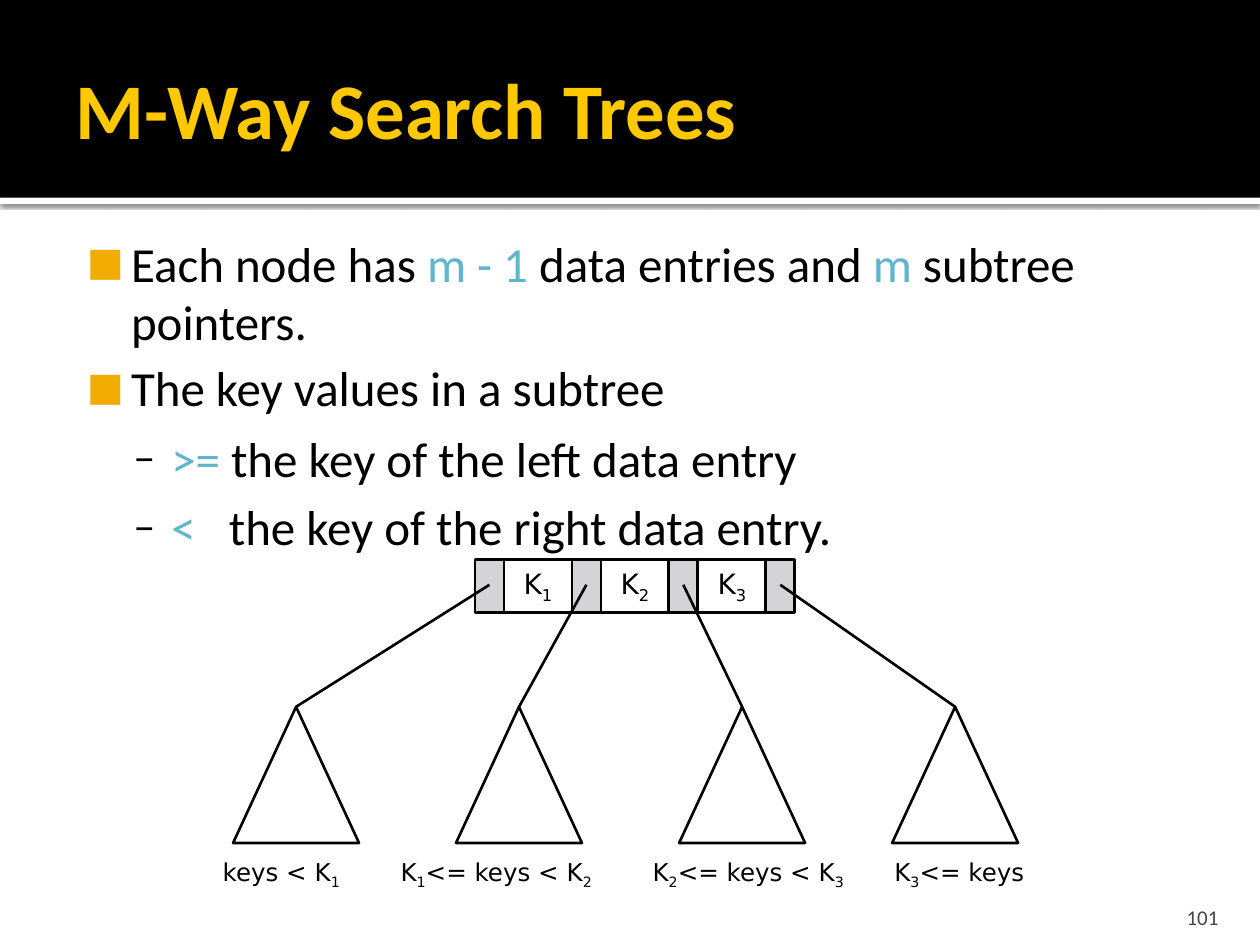
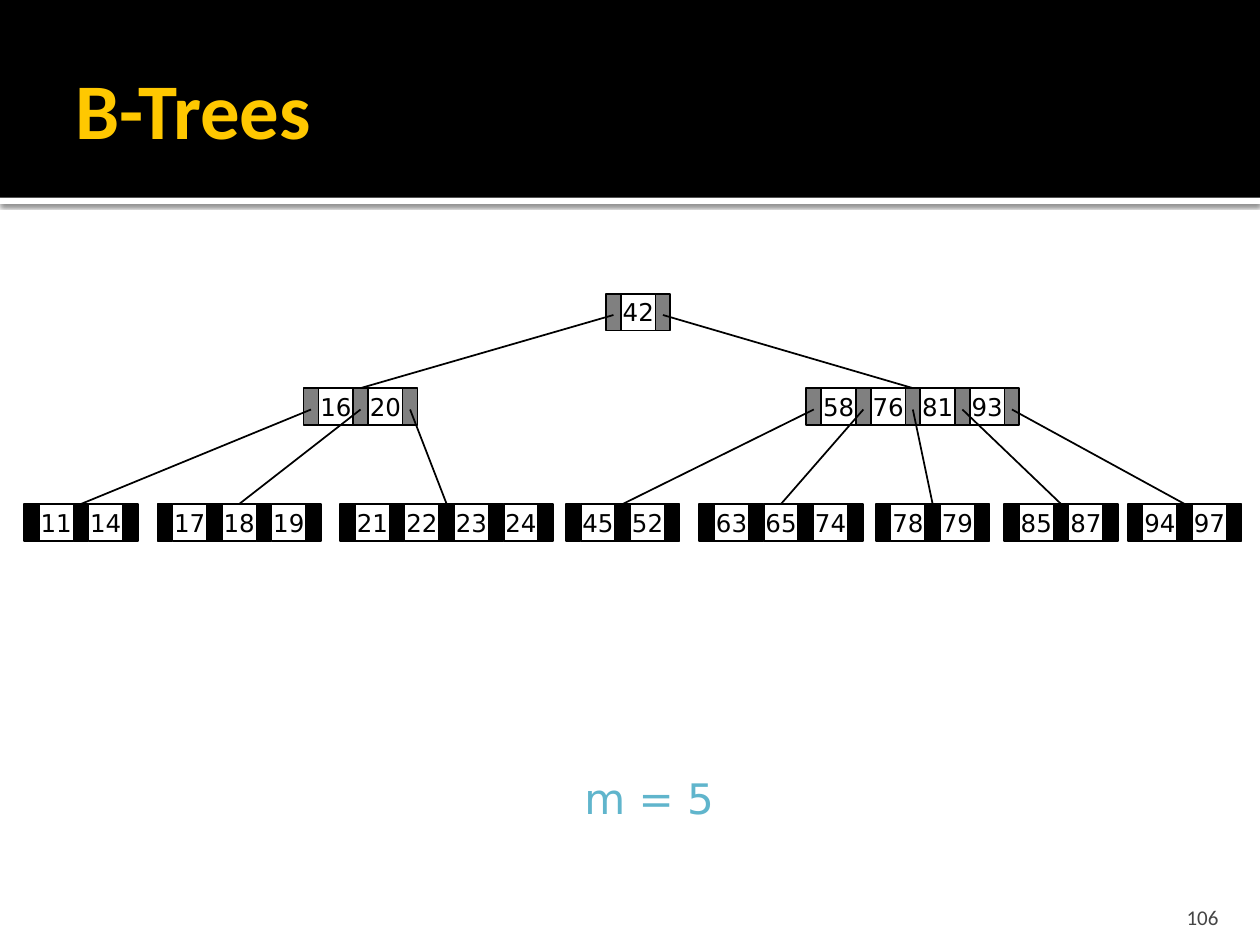
from lxml.etree import SubElement
from pptx import Presentation
from pptx.dml.color import RGBColor
from pptx.enum.shapes import MSO_CONNECTOR as CONNECTOR, MSO_SHAPE as SHAPE
from pptx.enum.text import MSO_ANCHOR as ANCHOR, PP_ALIGN as ALIGN
from pptx.oxml.ns import qn
from pptx.util import Pt

BLACK = RGBColor(0x00, 0x00, 0x00)
WHITE = RGBColor(0xFF, 0xFF, 0xFF)
TITLE_YELLOW = RGBColor(0xFF, 0xC8, 0x00)
BULLET_AMBER = RGBColor(0xF0, 0xAD, 0x00)
ACCENT_BLUE = RGBColor(0x60, 0xB5, 0xCC)
FOOTER_GREY = RGBColor(0x45, 0x45, 0x45)
LIGHT_GREY = RGBColor(0xD4, 0xD4, 0xD6)
MID_GREY = RGBColor(0x80, 0x80, 0x80)

TEXT_FONT = "Calibri"
DIAGRAM_FONT = "DejaVu Sans"
DEFAULT_INSETS = (7.2, 3.6, 7.2, 3.6)


class Deck:
    """Holds the shared style and the slide being drawn."""

    def __init__(self):
        self.presentation = Presentation()
        self.presentation.slide_width = Pt(720)
        self.presentation.slide_height = Pt(540)
        self.slide = None

    def new_slide(self, title, number):
        layout = self.presentation.slide_layouts[6]
        self.slide = self.presentation.slides.add_slide(layout)
        # White strip with a soft shadow under the black title band
        strip = self.shape(SHAPE.RECTANGLE, 0, 113, 720, 3.6, fill=WHITE)
        effects = strip._element.spPr.find(qn("a:effectLst"))
        shadow = SubElement(effects, qn("a:outerShdw"), blurRad=str(Pt(2.5)),
                            dist=str(Pt(0.8)), dir="5400000", algn="tl", rotWithShape="0")
        color = SubElement(shadow, qn("a:srgbClr"), val=str(BLACK))
        SubElement(color, qn("a:alpha"), val="60000")
        self.shape(SHAPE.RECTANGLE, 0, 0, 720, 113, fill=BLACK)
        # Title and page number
        self.text(title, 36, 12.2, 648, 98.6, 45, TITLE_YELLOW, TEXT_FONT, bold=True,
                  anchor=ANCHOR.MIDDLE, insets=(7.2, 3.6, 3.6, 3.6))
        self.text(str(number), 645.8, 509.8, 57.6, 21.6, 12, FOOTER_GREY, TEXT_FONT,
                  align=ALIGN.RIGHT, anchor=ANCHOR.BOTTOM, insets=(7.2, 3.6, 7.2, 0))

    def shape(self, kind, left, top, width, height, fill=None, line=None):
        shape = self.slide.shapes.add_shape(kind, Pt(left), Pt(top), Pt(width), Pt(height))
        shape.shadow.inherit = False
        if fill is None:
            shape.fill.background()
        else:
            shape.fill.solid()
            shape.fill.fore_color.rgb = fill
        if line is None:
            shape.line.fill.background()
        else:
            shape.line.color.rgb = BLACK
            shape.line.width = Pt(line)
        return shape

    def frame(self, left, top, width, height, insets=DEFAULT_INSETS):
        box = self.slide.shapes.add_textbox(Pt(left), Pt(top), Pt(width), Pt(height))
        frame = box.text_frame
        frame.word_wrap = True
        self.set_insets(frame, insets)
        return frame

    def set_insets(self, frame, insets):
        (frame.margin_left, frame.margin_top,
         frame.margin_right, frame.margin_bottom) = map(Pt, insets)

    def style(self, paragraph, size, color, font, bold=False):
        paragraph.font.size = Pt(size)
        paragraph.font.name = font
        paragraph.font.bold = bold
        paragraph.font.color.rgb = color

    def add_runs(self, paragraph, text):
        """Add text in which the character after each _ is a subscript."""
        first, *rest = text.split("_")
        pieces = [(first, False)]
        for piece in rest:
            pieces += [(piece[0], True), (piece[1:], False)]
        for piece, is_subscript in pieces:
            if piece:
                run = paragraph.add_run()
                run.text = piece
                if is_subscript:
                    run._r.get_or_add_rPr().set("baseline", "-25000")

    def text(self, text, left, top, width, height, size, color=BLACK, font=DIAGRAM_FONT,
             bold=False, align=ALIGN.LEFT, anchor=ANCHOR.TOP, insets=DEFAULT_INSETS):
        frame = self.frame(left, top, width, height, insets)
        frame.vertical_anchor = anchor
        paragraph = frame.paragraphs[0]
        paragraph.alignment = align
        self.add_runs(paragraph, text)
        self.style(paragraph, size, color, font, bold)

    def bullet(self, paragraph, parts, level, space_before, tab=None):
        """Add a bulleted line; every second part is in the accent colour."""
        margin, indent, char, color, percent = (
            (34.6, -25.2, "■", BULLET_AMBER, 80), (57.6, -21.6, "–", BLACK, 90))[level]
        paragraph.level = level
        properties = paragraph._p.get_or_add_pPr()
        properties.set("marL", str(Pt(margin)))
        properties.set("indent", str(Pt(indent)))
        bullet_color = SubElement(properties, qn("a:buClr"))
        SubElement(bullet_color, qn("a:srgbClr"), val=str(color))
        SubElement(properties, qn("a:buSzPct"), val=str(percent * 1000))
        SubElement(properties, qn("a:buFont"), typeface=TEXT_FONT)
        SubElement(properties, qn("a:buChar"), char=char)
        if tab:
            tabs = SubElement(properties, qn("a:tabLst"))
            SubElement(tabs, qn("a:tab"), pos=str(Pt(tab)), algn="l")
        if space_before:
            paragraph.space_before = Pt(space_before)
        self.style(paragraph, 28, BLACK, TEXT_FONT)
        for index, part in enumerate(parts):
            if part:
                run = paragraph.add_run()
                run.text = part
                if index % 2:
                    run.font.color.rgb = ACCENT_BLUE

    def node(self, keys, left, top, height, pointer_width, key_width, size, fill, line):
        """Draw pointer, key, pointer, ... and return the cells in order."""
        cells = []
        for index in range(2 * len(keys) + 1):
            is_key = index % 2 == 1
            width = key_width if is_key else pointer_width
            cell = self.shape(SHAPE.RECTANGLE, left, top, width, height,
                              None if is_key else fill, line)
            if is_key:
                frame = cell.text_frame
                frame.word_wrap = False
                frame.vertical_anchor = ANCHOR.MIDDLE
                self.set_insets(frame, (0, 0, 0, 0))
                paragraph = frame.paragraphs[0]
                paragraph.alignment = ALIGN.CENTER
                self.add_runs(paragraph, keys[index // 2])
                self.style(paragraph, size, BLACK, DIAGRAM_FONT)
            cells.append(cell)
            left += width
        return cells

    def link(self, pointer, child, drop, width):
        """Run a line from inside a pointer cell to the top of a child."""
        x, y = pointer.left + pointer.width // 2, pointer.top + Pt(drop)
        line = self.slide.shapes.add_connector(CONNECTOR.STRAIGHT, x, y, x, y)
        line.end_connect(child, 0)
        line.line.color.rgb = BLACK
        line.line.width = Pt(width)
        SubElement(line._element.spPr, qn("a:effectLst"))


def build_search_trees(deck):
    deck.new_slide("M-Way Search Trees", 101)

    # Rules for an m-way node
    frame = deck.frame(36, 126, 648, 364.3, insets=(4.3, 7.2, 7.2, 3.6))
    rules = [
        (["Each node has ", "m - 1", " data entries and ", "m", " subtree pointers."], 0, 0, None),
        (["The key values in a subtree"], 0, 4, None),
        (["", ">=", " the key of the left data entry"], 1, 6.6, None),
        (["", "<", "\tthe key of the right data entry."], 1, 5.6, 90.5),
    ]
    for index, rule in enumerate(rules):
        paragraph = frame.add_paragraph() if index else frame.paragraphs[0]
        deck.bullet(paragraph, *rule)

    # Node with three keys and its four subtrees
    cells = deck.node(["K_1", "K_2", "K_3"], 271.4, 319.7, 30.2, 16.6, 38.8,
                      16, LIGHT_GREY, 1.5)
    subtrees = [
        (133.2, "keys < K_1", 120.2, 96.5),
        (260.6, "K_1<= keys < K_2", 221.8, 149),
        (388.1, "K_2<= keys < K_3", 365.8, 133.2),
        (509.8, "K_3<= keys", 504, 119.5),
    ]
    for pointer, (left, label, label_left, label_width) in zip(cells[::2], subtrees):
        triangle = deck.shape(SHAPE.ISOSCELES_TRIANGLE, left, 403.9, 72, 77.8, line=1.5)
        deck.text(label, label_left, 486, label_width, 24.5, 14)
        deck.link(pointer, triangle, 14.5, 1.5)


def build_b_trees(deck):
    deck.new_slide("B-Trees", 106)

    # Levels from the root down: top, pointer fill, nodes as left and keys
    levels = [
        (167.8, MID_GREY, [(346.3, "42")]),
        (221.8, MID_GREY, [(173.5, "16 20"), (460.8, "58 76 81 93")]),
        (288, BLACK, [(13.7, "11 14"), (90, "17 18 19"), (194.4, "21 22 23 24"),
                      (323.3, "45 52"), (399.6, "63 65 74"), (500.4, "78 79"),
                      (573.8, "85 87"), (644.4, "94 97")]),
    ]
    parent_pointers = []
    for top, fill, nodes in levels:
        drawn = [deck.node(keys.split(), left, top, 21, 8.5, 19.8, 14, fill, 1)
                 for left, keys in nodes]
        # Each parent pointer leads to the middle cell of one child
        for pointer, cells in zip(parent_pointers, drawn):
            deck.link(pointer, cells[len(cells) // 2], 12.2, 1)
        parent_pointers = [pointer for cells in drawn for pointer in cells[::2]]

    # Order of the tree
    deck.text("m = 5", 326.9, 437.8, 92.9, 36.7, 24, ACCENT_BLUE)


def main():
    deck = Deck()
    build_search_trees(deck)
    build_b_trees(deck)
    deck.presentation.save("out.pptx")


if __name__ == "__main__":
    main()
